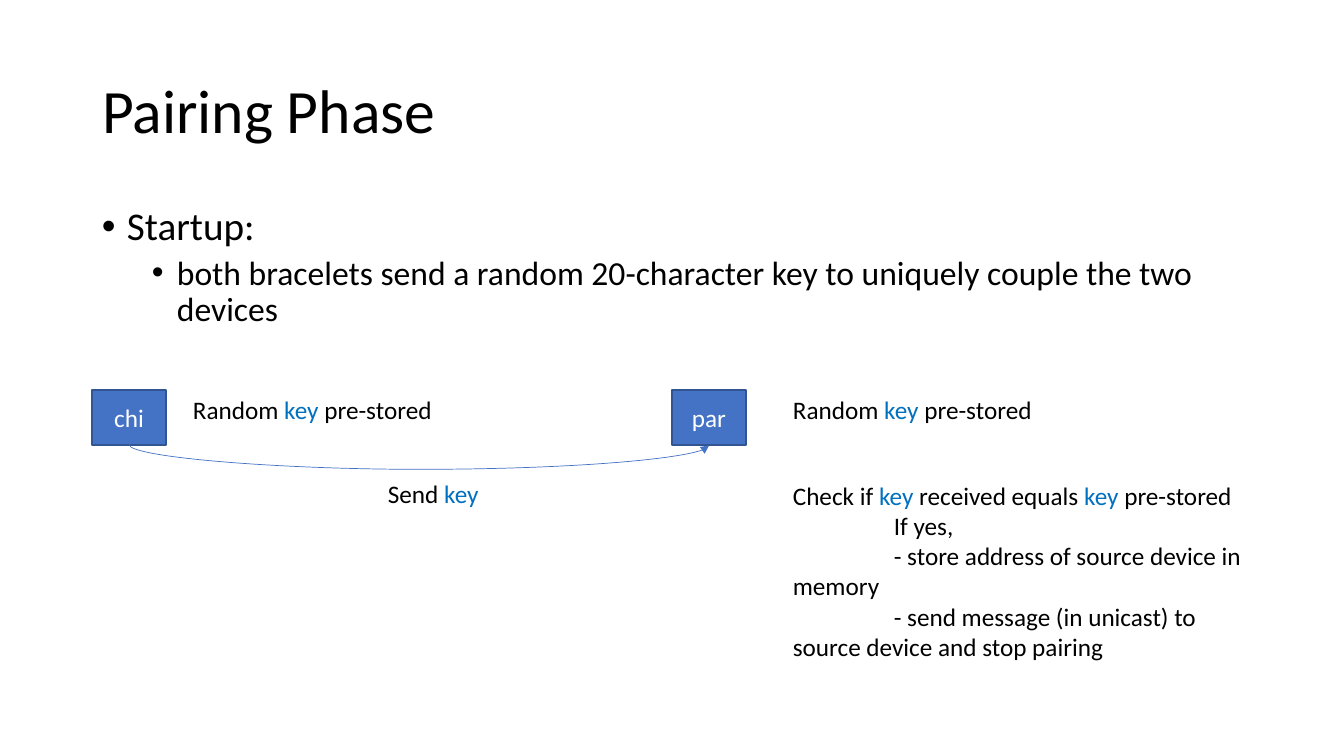
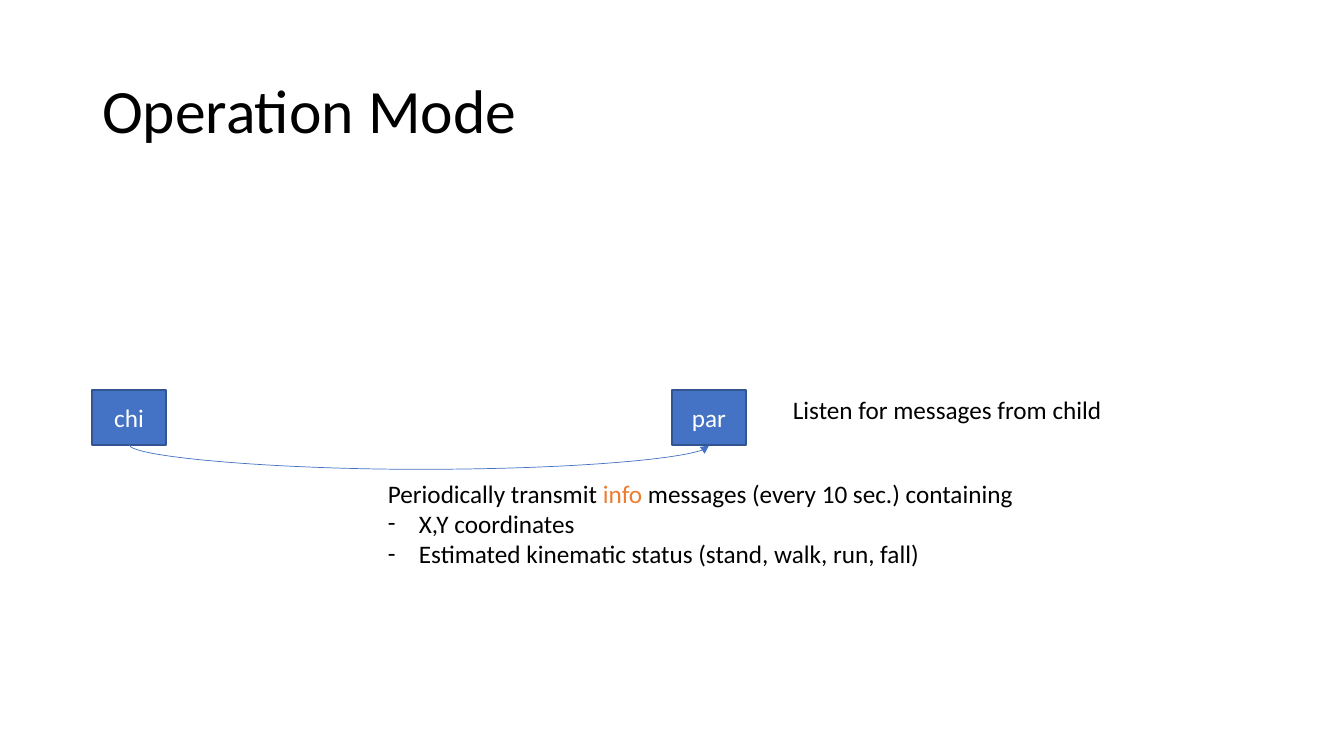
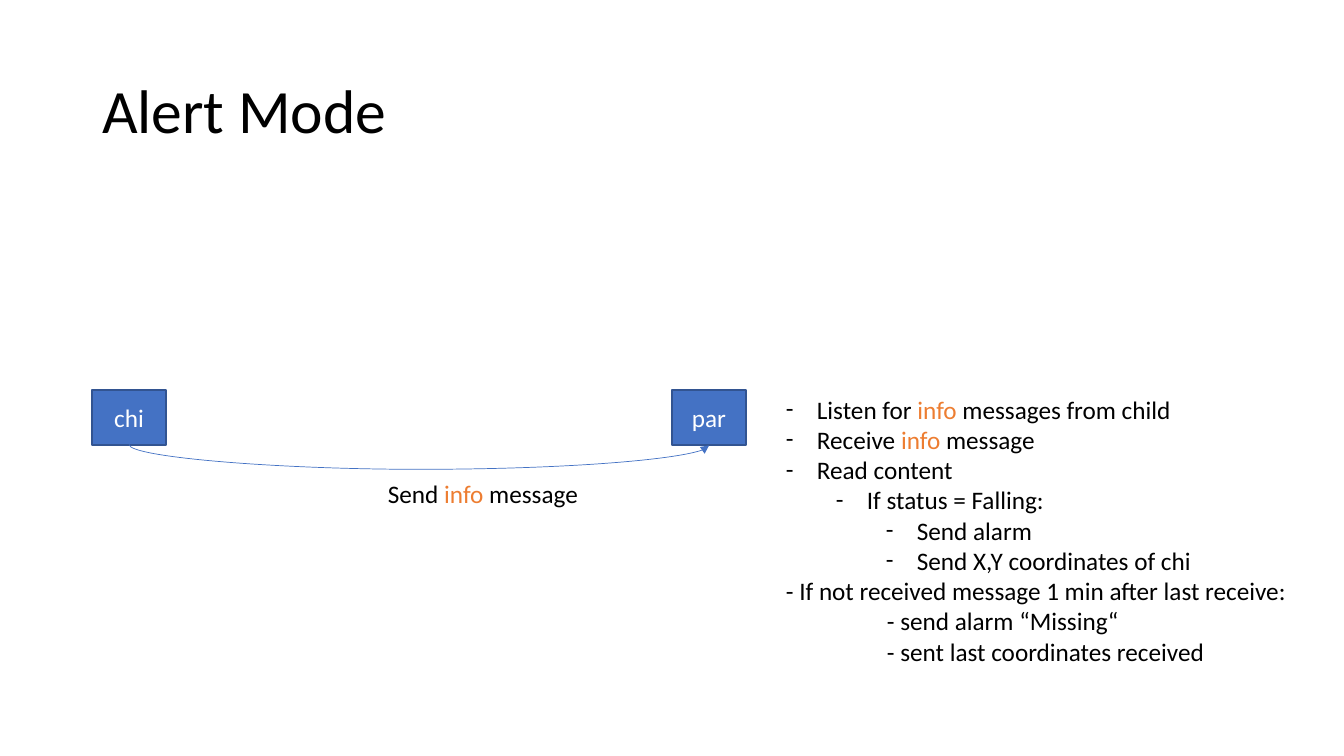
from dataclasses import dataclass

from pptx import Presentation
from pptx.dml.color import RGBColor
from pptx.enum.shapes import MSO_CONNECTOR, MSO_SHAPE
from pptx.enum.text import MSO_ANCHOR, MSO_AUTO_SIZE, PP_ALIGN
from pptx.oxml.ns import qn
from pptx.util import Pt
from lxml import etree

LEFT, CENTER = PP_ALIGN.LEFT, PP_ALIGN.CENTER
TOP, MIDDLE = MSO_ANCHOR.TOP, MSO_ANCHOR.MIDDLE
GROW = MSO_AUTO_SIZE.SHAPE_TO_FIT_TEXT
FIXED = MSO_AUTO_SIZE.NONE
RECT, CURVE = MSO_SHAPE.RECTANGLE, MSO_CONNECTOR.CURVE

SLIDE_W, SLIDE_H = 1344, 756
EMU_PER_PX = 12192000 / SLIDE_W
TITLE_ONLY = 5
BOTTOM_SITE = 2


@dataclass(frozen=True)
class Theme:
    font: str = "Calibri"
    ink: str = "000000"
    white: str = "FFFFFF"
    device: str = "4472C4"
    device_edge: str = "325491"
    key: str = "0070C0"
    info: str = "ED7D31"
    title_size: int = 44
    topic_size: int = 28
    detail_size: int = 24
    note_size: int = 18
    tight: float = 0.9


@dataclass(frozen=True)
class Para:
    text: str
    level: int = 0
    bullet: str = ""
    first_indent: int = 0
    size: int = 0
    before: int = 0


THEME = Theme()
HIGHLIGHTS = {"key": THEME.key, "info": THEME.info}

# Layout shared by the three slides, in px
MARGIN = 92
CONTENT_W = 1159
TITLE_Y, TITLE_H = 41, 146
DEVICE_Y, DEVICE_W, DEVICE_H = 390, 74, 55
DEVICE_STEP = 580
SAG = 25
NOTE_Y, NOTE_W, NOTE_H = 389, 277, 40
MESSAGE_X, MESSAGE_Y = 378, 473
PARENT_NOTE_X = 783
LEVEL_STEP = 50
TAB = 101
HANGING = {"•": 25, "-": 31}
BULLET_FONT = {"•": "Arial", "-": THEME.font}


def px(length):
    return round(length * EMU_PER_PX)


def rgb(color):
    return RGBColor.from_string(color)


def dash(text, level=0):
    return Para(text, level=level, bullet="-")


def indented(text):
    return Para(text, first_indent=TAB)


# Text
def set_indent(paragraph, para):
    props = paragraph._p.get_or_add_pPr()
    hanging = HANGING.get(para.bullet, 0)
    props.set("marL", str(px(para.level * LEVEL_STEP + hanging)))
    props.set("indent", str(px(para.first_indent - hanging)))
    if para.bullet:
        etree.SubElement(props, qn("a:buFont"), typeface=BULLET_FONT[para.bullet])
        etree.SubElement(props, qn("a:buChar"), char=para.bullet)
    else:
        etree.SubElement(props, qn("a:buNone"))


def split_highlight(text, word):
    """Yield (piece, is_highlight) with the word set apart."""
    for i, piece in enumerate(text.split(word) if word else [text]):
        if i:
            yield word, True
        if piece:
            yield piece, False


def write_text(frame, content, *, size=THEME.note_size, color=THEME.ink,
               highlight="", align=LEFT, anchor=TOP, spacing=1.0, fit=FIXED):
    paras = [Para(content)] if isinstance(content, str) else content
    frame.word_wrap = True
    frame.auto_size = fit
    frame.vertical_anchor = anchor
    for i, para in enumerate(paras):
        paragraph = frame.add_paragraph() if i else frame.paragraphs[0]
        paragraph.level = para.level
        paragraph.alignment = align
        paragraph.line_spacing = spacing
        paragraph.space_before = Pt(para.before)
        set_indent(paragraph, para)
        for line_number, line in enumerate(para.text.split("\n")):
            if line_number:
                paragraph.add_line_break()
            for piece, marked in split_highlight(line, highlight):
                run = paragraph.add_run()
                run.text = piece
                run.font.name = THEME.font
                run.font.size = Pt(para.size or size)
                run.font.color.rgb = rgb(HIGHLIGHTS[highlight] if marked else color)


def add_note(slide, content, x, y, w, h=NOTE_H, **text_format):
    note = slide.shapes.add_textbox(px(x), px(y), px(w), px(h))
    write_text(note.text_frame, content, **{"fit": GROW, **text_format})


# Devices and the message between them
def add_device(slide, label, x):
    device = slide.shapes.add_shape(RECT, px(x), px(DEVICE_Y), px(DEVICE_W), px(DEVICE_H))
    device.shadow.inherit = False
    device.fill.solid()
    device.fill.fore_color.rgb = rgb(THEME.device)
    device.line.color.rgb = rgb(THEME.device_edge)
    device.line.width = Pt(1)
    write_text(device.text_frame, label, color=THEME.white, align=CENTER, anchor=MIDDLE)
    return device


def add_message_arrow(slide, sender, receiver):
    start_x, bottom = MARGIN + DEVICE_W / 2, DEVICE_Y + DEVICE_H
    arrow = slide.shapes.add_connector(CURVE, px(start_x), px(bottom),
                                       px(start_x + DEVICE_STEP), px(bottom))
    arrow.begin_connect(sender, BOTTOM_SITE)
    arrow.end_connect(receiver, BOTTOM_SITE)
    arrow.line.color.rgb = rgb(THEME.device)
    arrow.line.width = Pt(0.5)
    etree.SubElement(arrow.line._get_or_add_ln(), qn("a:tailEnd"), type="triangle")

    # A one px wide frame turned on its side; the sag is a multiple of that width
    arrow.left = px(start_x + DEVICE_STEP / 2 - 0.5)
    arrow.top = px(bottom - DEVICE_STEP / 2)
    arrow.width, arrow.height = px(1), px(DEVICE_STEP)
    props = arrow._element.spPr
    frame = props.find(qn("a:xfrm"))
    for name, value in (("rot", "16200000"), ("flipH", "1"), ("flipV", "0")):
        frame.set(name, value)
    adjustments = props.find(qn("a:prstGeom")).find(qn("a:avLst"))
    etree.SubElement(adjustments, qn("a:gd"), name="adj1", fmla=f"val {SAG * 100000}")
    etree.SubElement(props, qn("a:effectLst"))


def add_exchange_slide(deck, heading):
    slide = deck.slides.add_slide(deck.slide_layouts[TITLE_ONLY])
    title = slide.shapes.title
    title.left, title.top = px(MARGIN), px(TITLE_Y)
    title.width, title.height = px(CONTENT_W), px(TITLE_H)
    write_text(title.text_frame, heading, size=THEME.title_size, anchor=MIDDLE,
               spacing=THEME.tight)
    child = add_device(slide, "chi", MARGIN)
    parent = add_device(slide, "par", MARGIN + DEVICE_STEP)
    add_message_arrow(slide, child, parent)
    return slide


# Slides
def add_pairing(deck):
    slide = add_exchange_slide(deck, "Pairing Phase")
    startup = [
        Para("Startup:", bullet="•", size=THEME.topic_size, before=10),
        Para("both bracelets send a random 20-character key to uniquely couple the two devices",
             level=1, bullet="•", size=THEME.detail_size, before=5),
    ]
    add_note(slide, startup, MARGIN, 202, CONTENT_W, 146, spacing=THEME.tight, fit=FIXED)
    for x in (183, PARENT_NOTE_X):
        add_note(slide, "Random key pre-stored", x, NOTE_Y, NOTE_W, highlight="key")
    add_note(slide, "Send key", MESSAGE_X, MESSAGE_Y, NOTE_W, highlight="key")
    key_check = [
        Para("Check if key received equals key pre-stored"),
        indented("If yes,"),
        indented("- store address of source device in\nmemory"),
        indented("- send message (in unicast) to\nsource device and stop pairing"),
    ]
    add_note(slide, key_check, PARENT_NOTE_X, 475, 492, 194, highlight="key")


def add_operation(deck):
    slide = add_exchange_slide(deck, "Operation Mode")
    add_note(slide, "Listen for messages from child", PARENT_NOTE_X, NOTE_Y, 338)
    transmission = [
        Para("Periodically transmit info messages (every 10 sec.) containing"),
        dash("X,Y coordinates"),
        dash("Estimated kinematic status (stand, walk, run, fall)"),
    ]
    add_note(slide, transmission, MESSAGE_X, MESSAGE_Y, 650, 102, highlight="info")


def add_alert(deck):
    slide = add_exchange_slide(deck, "Alert Mode")
    add_note(slide, "Send info message", MESSAGE_X, MESSAGE_Y, NOTE_W, highlight="info")
    alert_steps = [
        dash("Listen for info messages from child"),
        dash("Receive info message"),
        dash("Read content"),
        dash("If status = Falling:", level=1),
        dash("Send alarm", level=2),
        dash("Send X,Y coordinates of chi", level=2),
        Para("- If not received message 1 min after last receive:"),
        indented("- send alarm “Missing“"),
        indented("- sent last coordinates received"),
    ]
    add_note(slide, alert_steps, 776, NOTE_Y, SLIDE_W - 776, 316, highlight="info")


def main():
    deck = Presentation()
    deck.slide_width, deck.slide_height = px(SLIDE_W), px(SLIDE_H)
    add_pairing(deck)
    add_operation(deck)
    add_alert(deck)
    deck.save("out.pptx")


if __name__ == "__main__":
    main()
